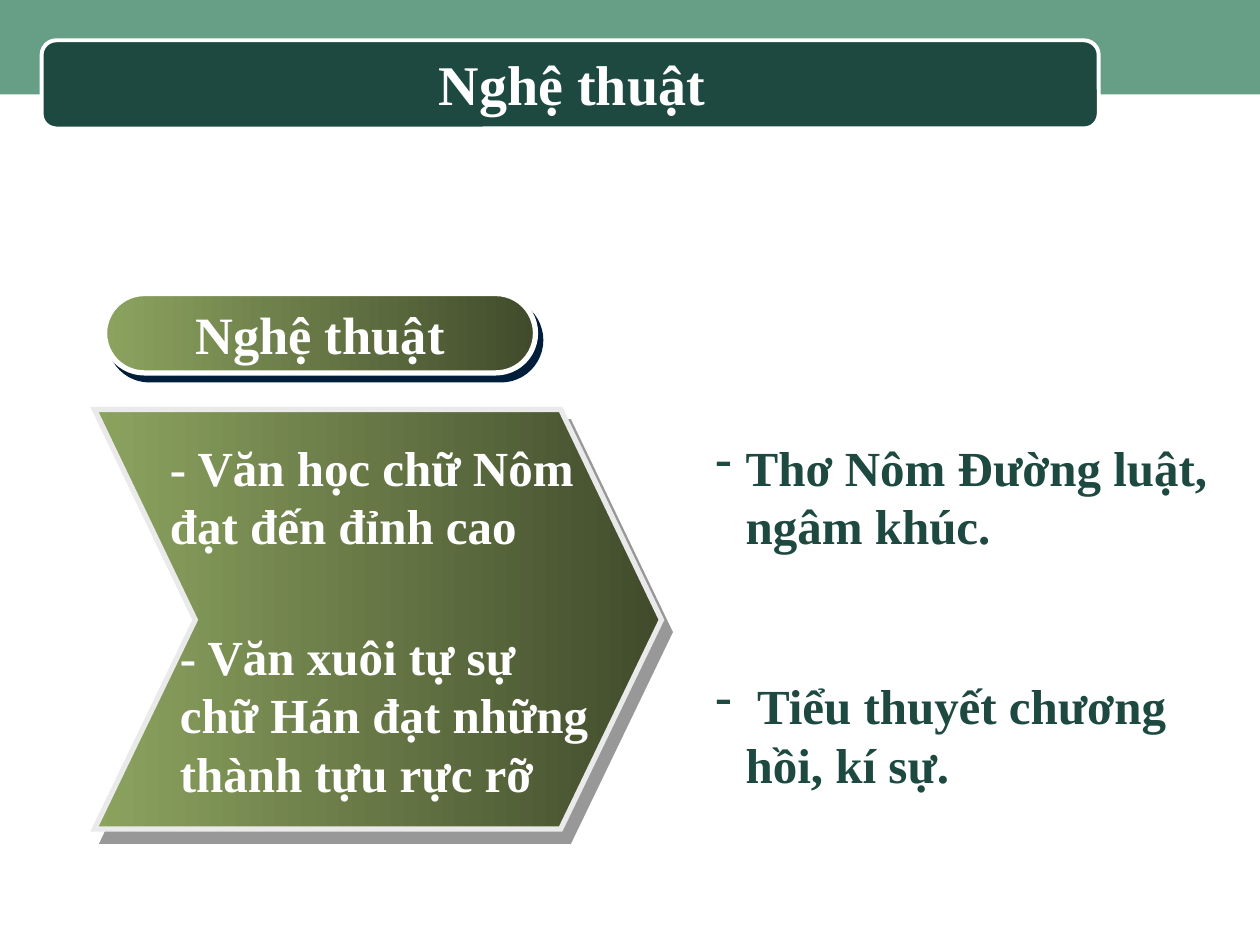
"""Build the slide on the art of the literary period."""
from dataclasses import dataclass
from typing import Optional

from lxml.etree import SubElement
from pptx import Presentation
from pptx.dml.color import RGBColor
from pptx.enum.shapes import MSO_SHAPE
from pptx.enum.text import MSO_ANCHOR, MSO_AUTO_SIZE, PP_ALIGN
from pptx.oxml.ns import qn
from pptx.util import Inches, Pt

WHITE, DARK, GREEN = "FFFFFF", "1D4940", "669E86"
LIGHT, OLIVE = "8CA35F", "414B2C"
SERIF = "Times New Roman"


@dataclass
class Shade:
    color: str
    alpha: int
    dist: float
    angle: int


@dataclass
class Note:
    box: tuple
    lines: list
    color: str = WHITE
    dash: bool = False
    gap: float = 0


NOTES = [
    Note((1.25, 3.42, 3.58, 1.04), ["- Văn học chữ Nôm đạt đến đỉnh cao"]),
    Note((1.33, 4.92, 3.52, 1.5),
         ["- Văn xuôi tự sự chữ Hán đạt những thành tựu rực rỡ"]),
    Note((5.58, 3.42, 4.17, 2.92),
         ["Thơ Nôm Đường luật, ngâm khúc.", " Tiểu thuyết chương hồi, kí sự."],
         color=DARK, dash=True, gap=69),
]


def rgb(code: str) -> RGBColor:
    return RGBColor.from_string(code)


def place(box: tuple) -> list:
    return [Inches(n) for n in box]


def style(shape, fills: list, line: Optional[str] = None, width: float = 0,
          shade: Optional[Shade] = None) -> None:
    if len(fills) == 1:
        shape.fill.solid()
        shape.fill.fore_color.rgb = rgb(fills[0])
    else:
        shape.fill.gradient()
        shape.fill.gradient_angle = 0
        for stop, code in zip(shape.fill.gradient_stops, fills):
            stop.color.rgb = rgb(code)
    if line:
        shape.line.color.rgb = rgb(line)
        shape.line.width = Pt(width)
        SubElement(shape._element.spPr.find(qn("a:ln")), qn("a:miter"), lim="800000")
    else:
        shape.line.fill.background()
    shape.shadow.inherit = False
    if shade:
        glow = shape._element.spPr.find(qn("a:effectLst"))
        cast = SubElement(glow, qn("a:outerShdw"), dist=str(Pt(shade.dist)),
                          dir=str(shade.angle * 60000), algn="ctr", rotWithShape="0")
        tint = SubElement(cast, qn("a:srgbClr"), val=shade.color)
        SubElement(tint, qn("a:alpha"), val=str(shade.alpha * 1000))


def block(slide, kind, box: tuple, fills: list, **look):
    shape = slide.shapes.add_shape(kind, *place(box))
    style(shape, fills, **look)
    return shape


def outline(slide, points: list, fills: list, **look) -> None:
    first, *rest = [place(point) for point in points]
    pen = slide.shapes.build_freeform(*first)
    pen.add_line_segments(rest, close=True)
    style(pen.convert_to_shape(), fills, **look)


def set_font(par, size: int, color: str = WHITE) -> None:
    font = par.font
    font.name, font.size, font.bold = SERIF, Pt(size), True
    font.color.rgb = rgb(color)


def label(shape, text: str, size: int) -> None:
    frame = shape.text_frame
    frame.text = text
    frame.vertical_anchor = MSO_ANCHOR.MIDDLE
    par = frame.paragraphs[0]
    par.alignment = PP_ALIGN.CENTER
    set_font(par, size)


def add_dash(par, color: str) -> None:
    props = par._p.get_or_add_pPr()
    props.set("marL", str(Inches(0.24)))
    props.set("indent", str(-Inches(0.24)))
    tint = SubElement(props, qn("a:buClr"))
    SubElement(tint, qn("a:srgbClr"), val=color)
    SubElement(props, qn("a:buChar"), char="-")


def write(slide, note: Note) -> None:
    frame = slide.shapes.add_textbox(*place(note.box)).text_frame
    frame.word_wrap = True
    frame.auto_size = MSO_AUTO_SIZE.SHAPE_TO_FIT_TEXT
    for i, line in enumerate(note.lines):
        par = frame.paragraphs[0] if i == 0 else frame.add_paragraph()
        par.text = line
        if i:
            par.space_before = Pt(note.gap)
        if note.dash:
            add_dash(par, note.color)
        set_font(par, 28, note.color)


def main() -> None:
    deck = Presentation()
    deck.slide_width, deck.slide_height = Inches(10), Inches(7.5)
    slide = deck.slides.add_slide(deck.slide_layouts[5])
    block(slide, MSO_SHAPE.RECTANGLE, (0, 0, 10, 0.75), [GREEN])
    block(slide, MSO_SHAPE.ROUNDED_RECTANGLE, (0.33, 0.32, 8.39, 0.7), [DARK],
          line=WHITE, width=2.25)

    title = slide.shapes.title
    title.left, title.top, title.width, title.height = place((0.5, 0.35, 8.08, 0.62))
    label(title, "Nghệ thuật", 32)
    slide.shapes._spTree.append(title._element)

    arrow = [(0.75, 3.25), (4.45, 3.25), (5.25, 4.92),
             (4.45, 6.58), (0.75, 6.58), (1.55, 4.92)]
    outline(slide, arrow, [LIGHT, OLIVE], line="EAEAEA", width=3,
            shade=Shade("333333", 50, 8.6, 55))
    pill = block(slide, MSO_SHAPE.ROUNDED_RECTANGLE, (0.83, 2.33, 3.42, 0.63),
                 [LIGHT, OLIVE], line=WHITE, width=3,
                 shade=Shade("001D3A", 100, 5, 53))
    pill.adjustments[0] = 0.5
    label(pill, "Nghệ thuật", 30)
    pill.text_frame.word_wrap = False
    for note in NOTES:
        write(slide, note)
    deck.save("out.pptx")


if __name__ == "__main__":
    main()
